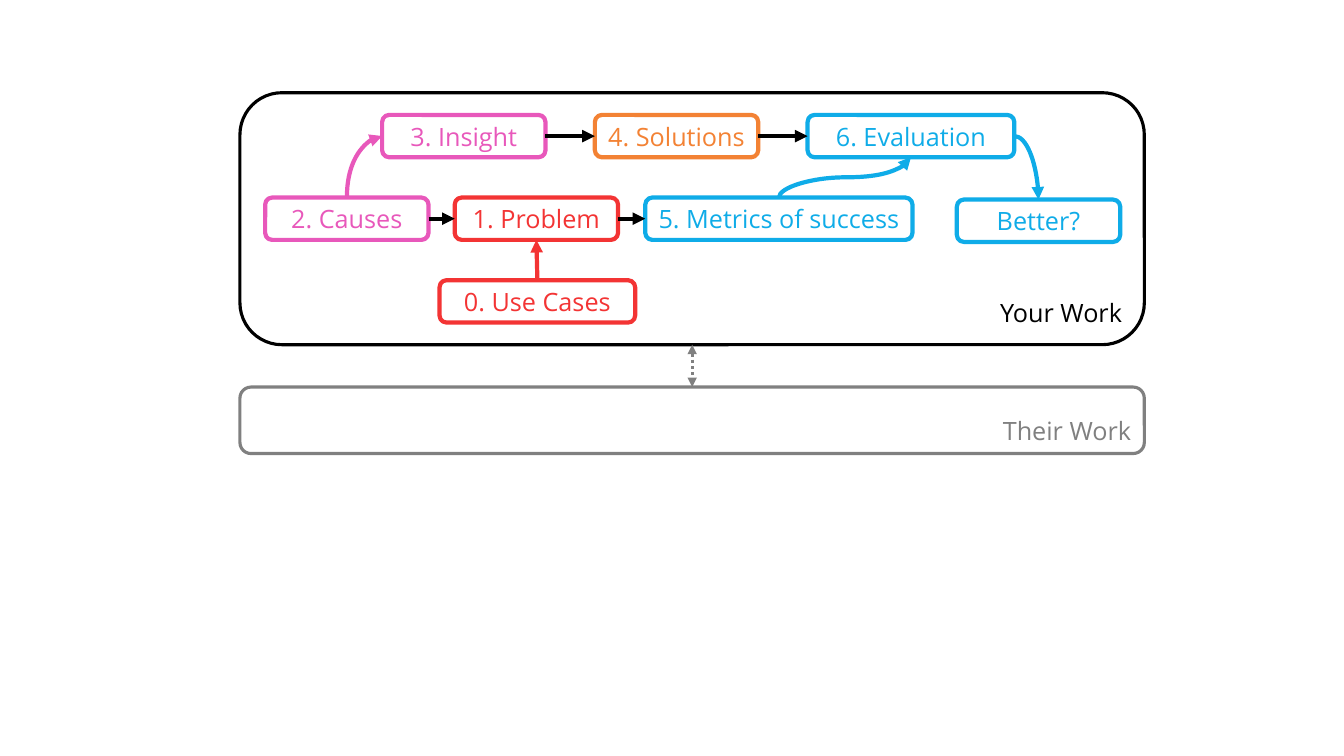
from lxml import etree
from pptx import Presentation
from pptx.dml.color import RGBColor
from pptx.enum.dml import MSO_LINE
from pptx.enum.shapes import MSO_CONNECTOR, MSO_SHAPE
from pptx.enum.text import MSO_ANCHOR, PP_ALIGN
from pptx.oxml.ns import qn
from pptx.util import Inches, Pt

ROUNDED = MSO_SHAPE.ROUNDED_RECTANGLE
STRAIGHT, CURVE = MSO_CONNECTOR.STRAIGHT, MSO_CONNECTOR.CURVE
DOTTED = MSO_LINE.ROUND_DOT
MIDDLE, BOTTOM = MSO_ANCHOR.MIDDLE, MSO_ANCHOR.BOTTOM
CENTER, RIGHT_ALIGNED = PP_ALIGN.CENTER, PP_ALIGN.RIGHT
TOP, LEFT, BELOW, RIGHT = range(4)  # connection sites of a rounded rectangle

FONT = "Open Sans"
BLACK, GRAY, WHITE = "000000", "808080", "FFFFFF"
RED, PINK, ORANGE, BLUE = "F33434", "E858BB", "F38234", "0FACE8"
PANEL_LINE, STAGE_LINE = 2.25, 3
STAGE_HEIGHT = 0.42

# name: label, color, offset from the panel's left and top, width
STAGES = {
    "use cases": ("0. Use Cases", RED, 1.98, 1.86, 1.94),
    "problem": ("1. Problem", RED, 2.13, 1.04, 1.62),
    "causes": ("2. Causes", PINK, 0.25, 1.04, 1.62),
    "metrics": ("5. Metrics of success", BLUE, 4.02, 1.04, 2.65),
    "better": ("Better?", BLUE, 7.11, 1.06, 1.62),
    "solutions": ("4. Solutions", ORANGE, 3.52, 0.22, 1.62),
    "insight": ("3. Insight", PINK, 1.41, 0.22, 1.62),
    "evaluation": ("6. Evaluation", BLUE, 5.63, 0.22, 2.05),
}
STRAIGHT_LINKS = [
    ("problem", RIGHT, "metrics", LEFT, BLACK),
    ("causes", RIGHT, "problem", LEFT, BLACK),
    ("use cases", TOP, "problem", BELOW, RED),
    ("insight", RIGHT, "solutions", LEFT, BLACK),
    ("solutions", RIGHT, "evaluation", LEFT, BLACK),
]
CURVED_LINKS = [
    ("causes", TOP, "insight", LEFT, PINK, "curvedConnector2"),
    ("evaluation", RIGHT, "better", TOP, BLUE, "curvedConnector2"),
    ("metrics", TOP, "evaluation", BELOW, BLUE, "curvedConnector3"),
]


def rgb(color):
    return RGBColor.from_string(color)


def add_box(slide, box, label, color, line_width, anchor, alignment):
    shape = slide.shapes.add_shape(ROUNDED, *(Inches(length) for length in box))
    shape.shadow.inherit = False
    shape.fill.solid()
    shape.fill.fore_color.rgb = rgb(WHITE)
    shape.line.color.rgb = rgb(color)
    shape.line.width = Pt(line_width)
    shape.text_frame.vertical_anchor = anchor
    paragraph = shape.text_frame.paragraphs[0]
    paragraph.alignment = alignment
    run = paragraph.add_run()
    run.text = label
    run.font.name = FONT
    run.font.size = Pt(18)
    run.font.color.rgb = rgb(color)
    return shape


def add_link(slide, start, start_site, end, end_site, color,
             width=STAGE_LINE, kind=STRAIGHT, dash=None, ends=("tailEnd",)):
    """Join two boxes at their connection sites with an arrow."""
    connector = slide.shapes.add_connector(kind, 0, 0, 0, 0)
    connector.begin_connect(start, start_site)
    connector.end_connect(end, end_site)
    connector.line.color.rgb = rgb(color)
    connector.line.width = Pt(width)
    if dash:
        connector.line.dash_style = dash
    outline = connector.line._get_or_add_ln()
    for arrow_end in ends:
        etree.SubElement(outline, qn(f"a:{arrow_end}"), type="triangle")
    etree.SubElement(connector._element.spPr, qn("a:effectLst"))
    return connector


def shape_curve(connector, preset, leaves_upward):
    """Set the curve's preset; turn it a quarter if it leaves its box upward."""
    properties = connector._element.spPr
    properties.find(qn("a:prstGeom")).set("prst", preset)
    if not leaves_upward:
        return
    width, height = connector.width, connector.height
    center_x = connector.left + width // 2
    center_y = connector.top + height // 2
    connector.left, connector.top = center_x - height // 2, center_y - width // 2
    connector.width, connector.height = height, width
    transform = properties.find(qn("a:xfrm"))
    for name, value in (("rot", "5400000"), ("flipH", "1"), ("flipV", "1")):
        transform.set(name, value)


def add_panel(slide, box, label, color):
    return add_box(slide, box, label, color, PANEL_LINE, BOTTOM, RIGHT_ALIGNED)


def add_your_work(slide, box):
    left, top = box[:2]
    panel = add_panel(slide, box, "Your Work", BLACK)
    stages = {}
    for name, (label, color, x, y, width) in STAGES.items():
        stage_box = (left + x, top + y, width, STAGE_HEIGHT)
        stages[name] = add_box(slide, stage_box, label, color,
                               STAGE_LINE, MIDDLE, CENTER)
    for start, start_site, end, end_site, color in STRAIGHT_LINKS:
        add_link(slide, stages[start], start_site, stages[end], end_site, color)
    for start, start_site, end, end_site, color, preset in CURVED_LINKS:
        curve = add_link(slide, stages[start], start_site,
                         stages[end], end_site, color, kind=CURVE)
        shape_curve(curve, preset, start_site == TOP)
    return panel


def main():
    presentation = Presentation()
    presentation.slide_width = Inches(13.33)
    presentation.slide_height = Inches(7.5)
    slide = presentation.slides.add_slide(presentation.slide_layouts[6])
    your_work = add_your_work(slide, (2.38, 0.92, 8.97, 2.5))
    their_work = add_panel(slide, (2.38, 3.84, 8.97, 0.66), "Their Work", GRAY)
    add_link(slide, your_work, BELOW, their_work, TOP, GRAY, PANEL_LINE,
             dash=DOTTED, ends=("headEnd", "tailEnd"))
    presentation.save("out.pptx")


if __name__ == "__main__":
    main()
